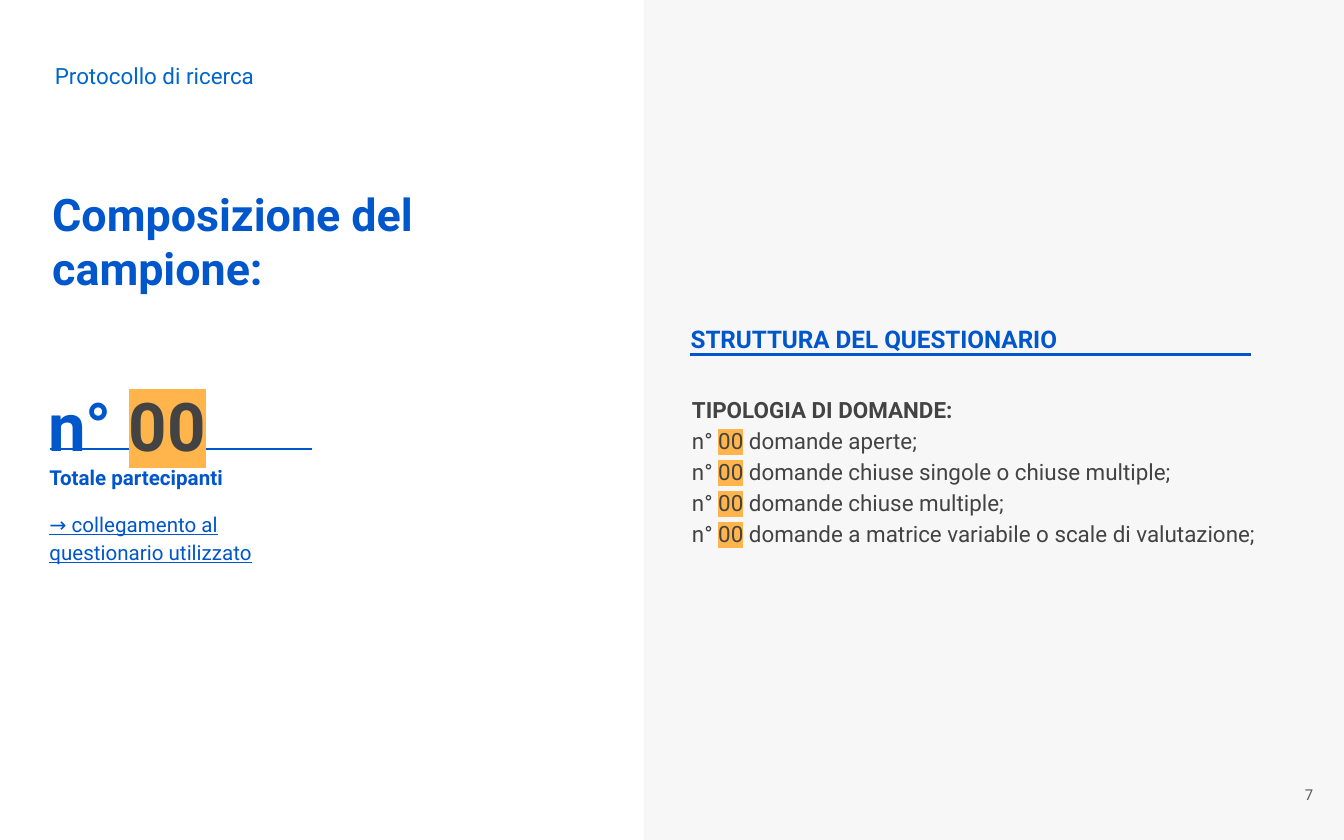
from lxml import etree
from pptx import Presentation
from pptx.dml.color import RGBColor
from pptx.enum import shapes, text
from pptx.oxml.ns import qn
from pptx.util import Pt

COLORS = {
    "panel": "F7F7F7",
    "blue": "0056CB",
    "header": "0066CC",
    "body": "434343",
    "number": "595959",
    "highlight": "FFB54C",
}


class Deck:
    font = "Roboto"
    inset = Pt(7.2)

    def __init__(self, width, height):
        self.prs = Presentation()
        self.prs.slide_width, self.prs.slide_height = Pt(width), Pt(height)
        self.slide = self.prs.slides.add_slide(self.prs.slide_layouts[6])

    def color(self, name):
        return RGBColor.from_string(COLORS[name])

    def panel(self, x, y, w, h, fill):
        sp = self.slide.shapes.add_shape(
            shapes.MSO_SHAPE.RECTANGLE, Pt(x), Pt(y), Pt(w), Pt(h))
        sp.shadow.inherit = False
        sp.fill.solid()
        sp.fill.fore_color.rgb = self.color(fill)
        sp.line.fill.background()

    def line(self, x1, x2, y, width):
        ln = self.slide.shapes.add_connector(
            shapes.MSO_CONNECTOR.STRAIGHT, Pt(x1), Pt(y), Pt(x2), Pt(y))
        ln.line.color.rgb = self.color("blue")
        ln.line.width = Pt(width)
        etree.SubElement(ln._element.spPr, qn("a:effectLst"))

    def box(self, x, y, w, h, middle=False):
        tf = self.slide.shapes.add_textbox(Pt(x), Pt(y), Pt(w), Pt(h)).text_frame
        tf.word_wrap = True
        tf.margin_left = tf.margin_right = self.inset
        tf.margin_top = tf.margin_bottom = self.inset
        tf.vertical_anchor = text.MSO_ANCHOR.MIDDLE if middle else text.MSO_ANCHOR.TOP
        return tf

    def style(self, p, size, color, bold=False, underline=False, spacing=1.0):
        p.font.name = self.font
        p.font.size = Pt(size)
        p.font.bold = bold
        p.font.underline = underline
        p.font.color.rgb = self.color(color)
        p.line_spacing = spacing

    def label(self, x, y, w, h, words, size, color, middle=False, right=False, **style):
        p = self.box(x, y, w, h, middle).paragraphs[0]
        p.text = words
        p.alignment = text.PP_ALIGN.RIGHT if right else text.PP_ALIGN.LEFT
        self.style(p, size, color, **style)

    def count(self, p, rest=""):
        p.add_run().text = "n° "
        r = p.add_run()
        r.text = "00"
        r.font.color.rgb = self.color("body")
        mark = etree.SubElement(r.font._element, qn("a:highlight"))
        etree.SubElement(mark, qn("a:srgbClr"), val=COLORS["highlight"])
        if rest:
            p.add_run().text = rest

    def total(self, x, y, w, h):
        p = self.box(x, y, w, h).paragraphs[0]
        self.count(p)
        self.style(p, 36, "blue", bold=True, spacing=1.15)

    def questions(self, x, y, w, h, heading, kinds):
        tf = self.box(x, y, w, h)
        p = tf.paragraphs[0]
        p.text = heading
        self.style(p, 12, "body", bold=True, spacing=1.15)
        for kind in kinds:
            p = tf.add_paragraph()
            self.count(p, f" domande {kind};")
            self.style(p, 12, "body", spacing=1.15)


def main():
    deck = Deck(720, 450)
    deck.panel(344.9, -0.7, 375.1, 450.7, "panel")
    deck.label(667.4, 408.2, 43.2, 34.6, "7", 8, "number", middle=True, right=True)
    deck.label(22.3, 28.1, 305.3, 24.5, "Protocollo di ricerca", 12, "header", middle=True)
    deck.questions(363.6, 203, 350, 103, "TIPOLOGIA DI DOMANDE:", [
        "aperte",
        "chiuse singole o chiuse multiple",
        "chiuse multiple",
        "a matrice variabile o scale di valutazione",
    ])
    deck.label(362.9, 166.3, 214.6, 24.5, "STRUTTURA DEL QUESTIONARIO", 13, "blue", bold=True)
    deck.line(369.4, 670.3, 190.1, 1.5)
    deck.label(19.4, 239.8, 148.3, 25.2, "Totale partecipanti", 11, "blue",
               bold=True, spacing=1.15)
    deck.line(26.6, 167, 240.5, 0.75)
    deck.total(18.7, 192.2, 130.3, 41)
    deck.label(20.9, 92.9, 254.9, 61.9, "Composizione del campione:", 24, "blue", bold=True)
    deck.label(19.4, 265, 148.3, 25.2, "→ collegamento al questionario utilizzato", 11, "blue",
               underline=True, spacing=1.15)
    deck.prs.save("out.pptx")


if __name__ == "__main__":
    main()
